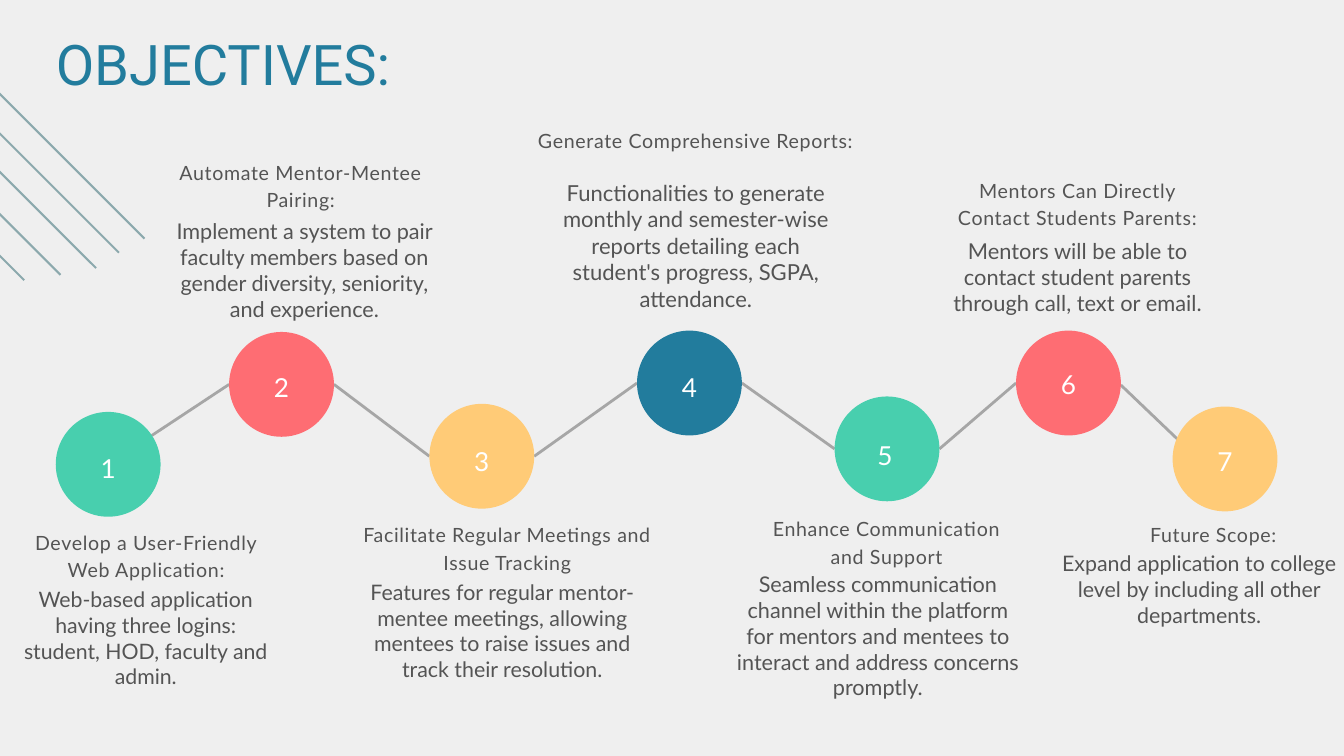
from dataclasses import dataclass
from itertools import pairwise
from typing import NamedTuple

from pptx import Presentation
from pptx.dml.color import RGBColor
from pptx.enum.shapes import MSO_CONNECTOR, MSO_SHAPE
from pptx.enum.text import MSO_ANCHOR, MSO_AUTO_SIZE, PP_ALIGN
from pptx.oxml.ns import qn
from pptx.util import Pt
from lxml.etree import SubElement

EMU_PER_PX = 9144
DIAMETER = 156


@dataclass(frozen=True)
class Theme:
    background: str = "EFEFEF"
    blue: str = "227C9D"
    green: str = "48CFAE"
    red: str = "FE6D73"
    yellow: str = "FFCB77"
    text: str = "545454"
    white: str = "FFFFFF"
    link: str = "A6A6A6"
    stripe: str = "8CA9AD"
    title_font: str = "Roboto"
    body_font: str = "Lato"
    title_size: float = 60
    heading_size: float = 21
    number_size: float = 28
    link_width: float = 3
    stripe_width: float = 2.25


class Point(NamedTuple):
    x: int
    y: int


class Box(NamedTuple):
    x: int
    y: int
    w: int
    h: int


class Style(NamedTuple):
    font: str
    size: float
    color: str
    leading: float
    spacing: float = 0
    align: PP_ALIGN = PP_ALIGN.CENTER


@dataclass(frozen=True)
class Step:
    x: int
    y: int
    color: str
    number: Point
    heading: str
    heading_box: Box
    body: str
    body_box: Box
    body_size: float

    @property
    def entry(self) -> Point:
        return Point(self.x, self.y + DIAMETER // 2)

    @property
    def exit(self) -> Point:
        return Point(self.x + DIAMETER, self.y + DIAMETER // 2)


T = Theme()
TITLE = Style(T.title_font, T.title_size, T.blue, 60, align=PP_ALIGN.JUSTIFY)
HEADING = Style(T.body_font, T.heading_size, T.text, 29.4, 0.7)
NUMBER = Style(T.body_font, T.number_size, T.white, 44.8, 3.4)

STEPS = [
    Step(83, 613, T.green, Point(83, 657),
         "Develop a User-Friendly Web Application:", Box(35, 784, 365, 81),
         "Web-based application having three logins: student, HOD, faculty and admin.",
         Box(25, 873, 384, 174), 22.8),
    Step(341, 494, T.red, Point(341, 537),
         "Automate Mentor-Mentee Pairing:", Box(265, 233, 365, 81),
         "Implement a system to pair faculty members based on gender diversity, "
         "seniority, and experience.",
         Box(239, 324, 428, 188), 23.2),
    Step(639, 601, T.yellow, Point(639, 648),
         "Facilitate Regular Meetings and Issue Tracking", Box(537, 773, 436, 81),
         "Features for regular mentor-mentee meetings, allowing mentees to raise "
         "issues and track their resolution.",
         Box(522, 862, 451, 173), 22.9),
    Step(948, 492, T.blue, Point(948, 537),
         "Generate Comprehensive Reports:", Box(782, 186, 506, 81),
         "Functionalities to generate monthly and semester-wise reports detailing "
         "each student's progress, SGPA, attendance.",
         Box(812, 267, 447, 192), 23.6),
    Step(1242, 590, T.green, Point(1239, 638),
         "Enhance Communication and Support", Box(1121, 764, 397, 81),
         "Seamless communication channel within the platform for mentors and "
         "mentees to interact and address concerns promptly.",
         Box(1095, 849, 423, 212), 23.2),
    Step(1512, 492, T.red, Point(1512, 533),
         "Mentors Can Directly Contact Students Parents:", Box(1404, 260, 399, 81),
         "Mentors will be able to contact student parents through call, text or email.",
         Box(1410, 353, 387, 114), 23.4),
    Step(1745, 605, T.yellow, Point(1745, 648),
         "Future Scope:", Box(1626, 773, 359, 40),
         "Expand application to college level by including all other departments.",
         Box(1569, 819, 431, 142), 22.9),
]

FIRST_LINK = (Point(226, 648), STEPS[1].entry)
LAST_LINK = (Point(1668, 573), Point(1805, 704))

STRIPES = [
    (Point(-336, -196), 551),
    (Point(-356, -157), 533),
    (Point(-370, -114), 513),
    (Point(-385, -66), 475),
    (Point(-399, -18), 435),
]


def px(n: int) -> int:
    return n * EMU_PER_PX


def rgb(color: str) -> RGBColor:
    return RGBColor.from_string(color)


def add_line(s, begin: Point, end: Point, color: str, width: float) -> None:
    line = s.shapes.add_connector(MSO_CONNECTOR.STRAIGHT, *map(px, begin + end))
    line.line.color.rgb = rgb(color)
    line.line.width = Pt(width)
    SubElement(line._element.spPr, qn("a:effectLst"))


def add_circle(s, step: Step) -> None:
    sp = s.shapes.add_shape(
        MSO_SHAPE.OVAL, *map(px, (step.x, step.y, DIAMETER, DIAMETER)))
    sp.shadow.inherit = False
    sp.fill.solid()
    sp.fill.fore_color.rgb = rgb(step.color)
    sp.line.fill.background()


def write(sp, text: str, style: Style) -> None:
    tf = sp.text_frame
    tf.word_wrap = True
    tf.vertical_anchor = MSO_ANCHOR.TOP
    tf.auto_size = MSO_AUTO_SIZE.SHAPE_TO_FIT_TEXT
    tf.margin_left = tf.margin_right = tf.margin_top = tf.margin_bottom = 0
    p = tf.paragraphs[0]
    p.alignment = style.align
    p.line_spacing = Pt(style.leading)
    r = p.add_run()
    r.text = text
    r.font.name = style.font
    r.font.size = Pt(style.size)
    r.font.color.rgb = rgb(style.color)
    if style.spacing:
        r._r.get_or_add_rPr().set("spc", str(round(style.spacing * 100)))


def add_text(s, box: Box, text: str, style: Style) -> None:
    write(s.shapes.add_textbox(*map(px, box)), text, style)


def add_title(s, box: Box, text: str) -> None:
    sp = s.shapes.title
    sp.left, sp.top, sp.width, sp.height = map(px, box)
    write(sp, text, TITLE)


def main() -> None:
    prs = Presentation()
    prs.slide_width, prs.slide_height = px(2000), px(1125)
    s = prs.slides.add_slide(prs.slide_layouts[5])
    s.background.fill.solid()
    s.background.fill.fore_color.rgb = rgb(T.background)
    add_title(s, Box(83, 61, 1585, 101), "OBJECTIVES:")

    inner_links = [(a.exit, b.entry) for a, b in pairwise(STEPS[1:-1])]
    for begin, end in [FIRST_LINK, *inner_links, LAST_LINK]:
        add_line(s, begin, end, T.link, T.link_width)
    for begin, run in STRIPES:
        add_line(s, begin, Point(begin.x + run, begin.y + run), T.stripe, T.stripe_width)

    for i, step in enumerate(STEPS, start=1):
        add_circle(s, step)
        add_text(s, Box(*step.number, DIAMETER, 57), str(i), NUMBER)
        add_text(s, step.heading_box, step.heading, HEADING)
        body = Style(T.body_font, step.body_size, T.text, round(step.body_size * 1.2, 1))
        add_text(s, step.body_box, step.body, body)

    prs.save("out.pptx")


if __name__ == "__main__":
    main()
